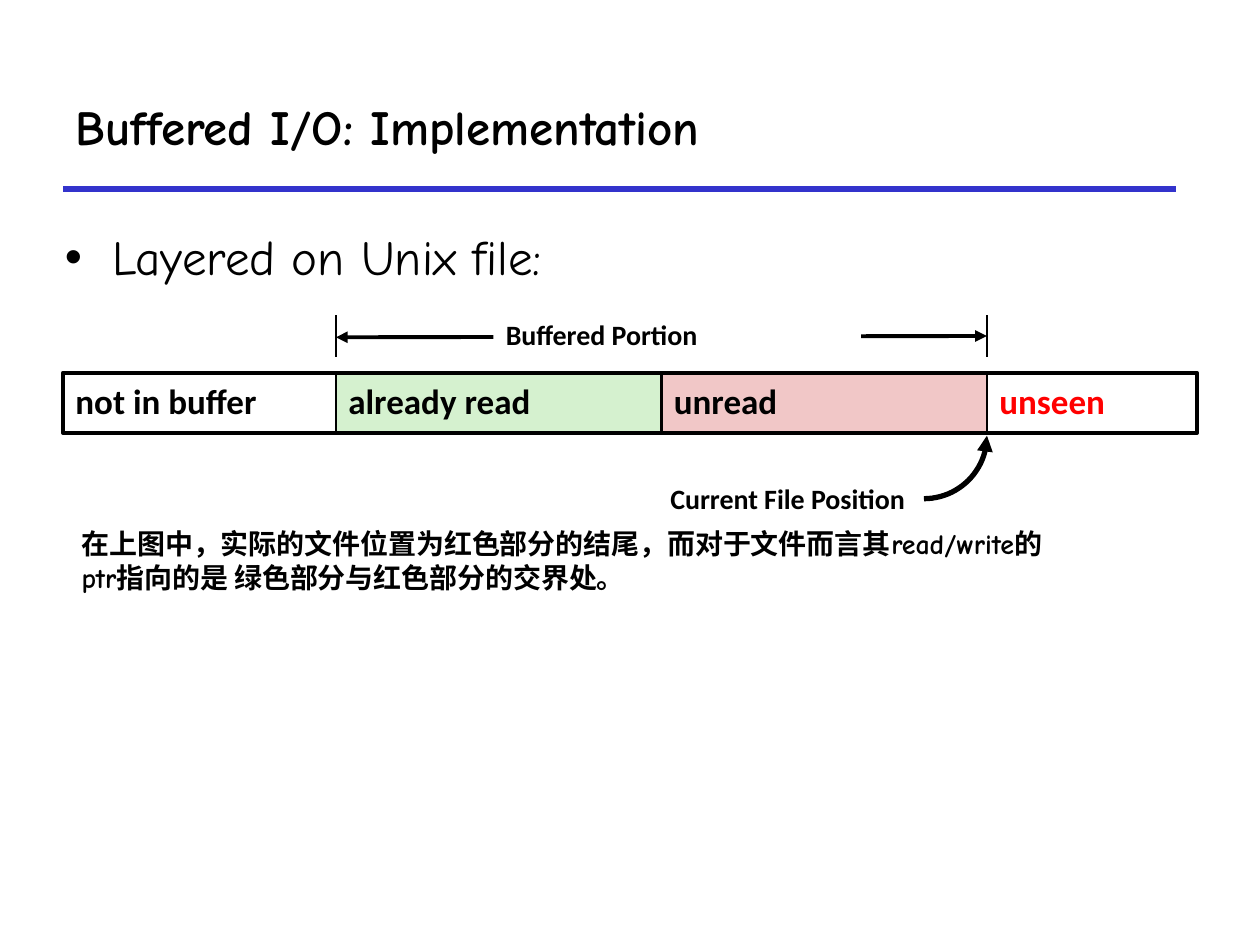
from dataclasses import dataclass
from math import cos, pi, sin

from lxml import etree
from pptx import Presentation
from pptx.dml.color import RGBColor
from pptx.enum import shapes, text
from pptx.oxml import ns
from pptx.util import Pt

BLACK = RGBColor(0x00, 0x00, 0x00)
WHITE = RGBColor(0xFF, 0xFF, 0xFF)
RED = RGBColor(0xFF, 0x00, 0x00)
BLUE = RGBColor(0x33, 0x33, 0xCC)
GREEN_TINT = RGBColor(0xD5, 0xF1, 0xCF)
RED_TINT = RGBColor(0xF1, 0xC7, 0xC7)
HAND, SANS = "Comic Neue", "Calibri"
BAR_LEFT, BAR_TOP, BAR_HEIGHT = 36, 213, 34.5
BUFFER_LEFT, BUFFER_RIGHT, BAR_RIGHT = 192, 564, 684


@dataclass(frozen=True)
class Segment:
    label: str
    left: float
    right: float
    fill: RGBColor
    color: RGBColor = BLACK


@dataclass(frozen=True)
class Stroke:
    start: tuple[float, float]
    end: tuple[float, float]
    weight: float
    color: RGBColor = BLACK
    arrows: tuple[str, ...] = ()


def write(box, content: str, *, size: float, font: str = SANS, bold: bool = True,
          color: RGBColor = BLACK, align=text.PP_ALIGN.LEFT,
          anchor=text.MSO_ANCHOR.TOP, wrap: bool = True,
          before: float = 0, spacing: float = 1) -> None:
    frame = box.text_frame
    frame.word_wrap = wrap
    frame.auto_size = text.MSO_AUTO_SIZE.NONE
    frame.vertical_anchor = anchor
    frame.text = content
    for para in frame.paragraphs:
        para.alignment = align
        para.space_before = Pt(before)
        para.line_spacing = spacing
        for span in para.runs:
            span.font.name = font
            span.font.size = Pt(size)
            span.font.bold = bold
            span.font.color.rgb = color


def add_text(page, left: float, top: float, width: float, height: float,
             content: str, **style):
    box = page.shapes.add_textbox(Pt(left), Pt(top), Pt(width), Pt(height))
    write(box, content, **style)
    return box


def add_box(page, left: float, top: float, width: float, height: float,
            fill: RGBColor | None = None, weight: float = 0):
    box = page.shapes.add_shape(shapes.MSO_SHAPE.RECTANGLE,
                                Pt(left), Pt(top), Pt(width), Pt(height))
    box.shadow.inherit = False
    if fill is None:
        box.fill.background()
    else:
        box.fill.solid()
        box.fill.fore_color.rgb = fill
    if weight:
        box.line.color.rgb = BLACK
        box.line.width = Pt(weight)
    else:
        box.line.fill.background()
    return box


def add_arrowheads(shape, arrows: tuple[str, ...]) -> None:
    for end in arrows:
        etree.SubElement(shape.get_or_add_ln(), ns.qn(f"a:{end}"), type="triangle")


def add_stroke(page, stroke: Stroke) -> None:
    line = page.shapes.add_connector(shapes.MSO_CONNECTOR.STRAIGHT,
                                     *map(Pt, stroke.start + stroke.end))
    line.line.color.rgb = stroke.color
    line.line.width = Pt(stroke.weight)
    add_arrowheads(line, stroke.arrows)
    etree.SubElement(line._element.spPr, ns.qn("a:effectLst"))


def add_quarter_arrow(page, center_x: float, center_y: float, radius: float) -> None:
    steps = 24
    angles = [pi / 2 * step / steps for step in range(steps + 1)]
    points = [(Pt(center_x + radius * cos(angle)), Pt(center_y + radius * sin(angle)))
              for angle in angles]
    builder = page.shapes.build_freeform(*points[0])
    builder.add_line_segments(points[1:], close=False)
    curve = builder.convert_to_shape()
    curve.shadow.inherit = False
    curve.fill.background()
    curve.line.color.rgb = BLACK
    curve.line.width = Pt(3)
    add_arrowheads(curve, ("headEnd",))


def add_bullet(box, indent: float) -> None:
    properties = box.text_frame.paragraphs[0]._p.get_or_add_pPr()
    properties.set("marL", str(Pt(indent)))
    properties.set("indent", str(-Pt(indent)))
    etree.SubElement(properties, ns.qn("a:buFont"), typeface="Arial")
    etree.SubElement(properties, ns.qn("a:buChar"), char="•")


SEGMENTS = [
    Segment("unread", 378, BUFFER_RIGHT, RED_TINT),
    Segment("already read", BUFFER_LEFT, 378, GREEN_TINT),
    Segment("not in buffer", BAR_LEFT, BUFFER_LEFT, WHITE),
    Segment("unseen", BUFFER_RIGHT, BAR_RIGHT, WHITE, RED),
]
STROKES = [
    Stroke((BUFFER_LEFT, 204), (BUFFER_LEFT, 180), 1.5),
    Stroke((BUFFER_RIGHT, 204), (BUFFER_RIGHT, 180), 1.5),
    Stroke((BUFFER_LEFT, 192.75), (BUFFER_RIGHT, 192), 2.25,
           arrows=("headEnd", "tailEnd")),
]

deck = Presentation()
deck.slide_width, deck.slide_height = Pt(720), Pt(540)
page = deck.slides.add_slide(deck.slide_layouts[5])

add_stroke(page, Stroke((36, 108), (672, 108), 3, BLUE))
title = page.shapes.title
title.left, title.top, title.width, title.height = map(Pt, (36, 36, 636, 72))
write(title, "Buffered I/O: Implementation", size=28, font=HAND,
      anchor=text.MSO_ANCHOR.MIDDLE)

body = add_text(page, 30, 126, 654, 312, "Layered on Unix file:", size=28,
                font=HAND, bold=False, before=5.6)
add_bullet(body, 27)

for segment in SEGMENTS:
    cell = add_box(page, segment.left, BAR_TOP, segment.right - segment.left,
                   BAR_HEIGHT, segment.fill, 1.5)
    write(cell, segment.label, size=20, color=segment.color,
          anchor=text.MSO_ANCHOR.MIDDLE, before=4, spacing=0.9)
add_box(page, BAR_LEFT, BAR_TOP, BAR_RIGHT - BAR_LEFT, BAR_HEIGHT, weight=2.25)

add_quarter_arrow(page, 528, 249, 36)
add_text(page, 320.25, 273.75, 204, 26.5, "Current File Position", size=16,
         align=text.PP_ALIGN.RIGHT, before=3.2, spacing=0.9)

for stroke in STROKES:
    add_stroke(page, stroke)
caption = add_box(page, 282, 180, 210, 26.5, WHITE)
write(caption, "Buffered Portion", size=16, before=3.2, spacing=0.9)

add_text(page, 39.5, 297.5, 580, 46,
         "在上图中，实际的文件位置为红色部分的结尾，而对于文件而言其read/write的\n"
         "ptr指向的是 绿色部分与红色部分的交界处。",
         size=16, font=HAND, wrap=False)

deck.save("out.pptx")
